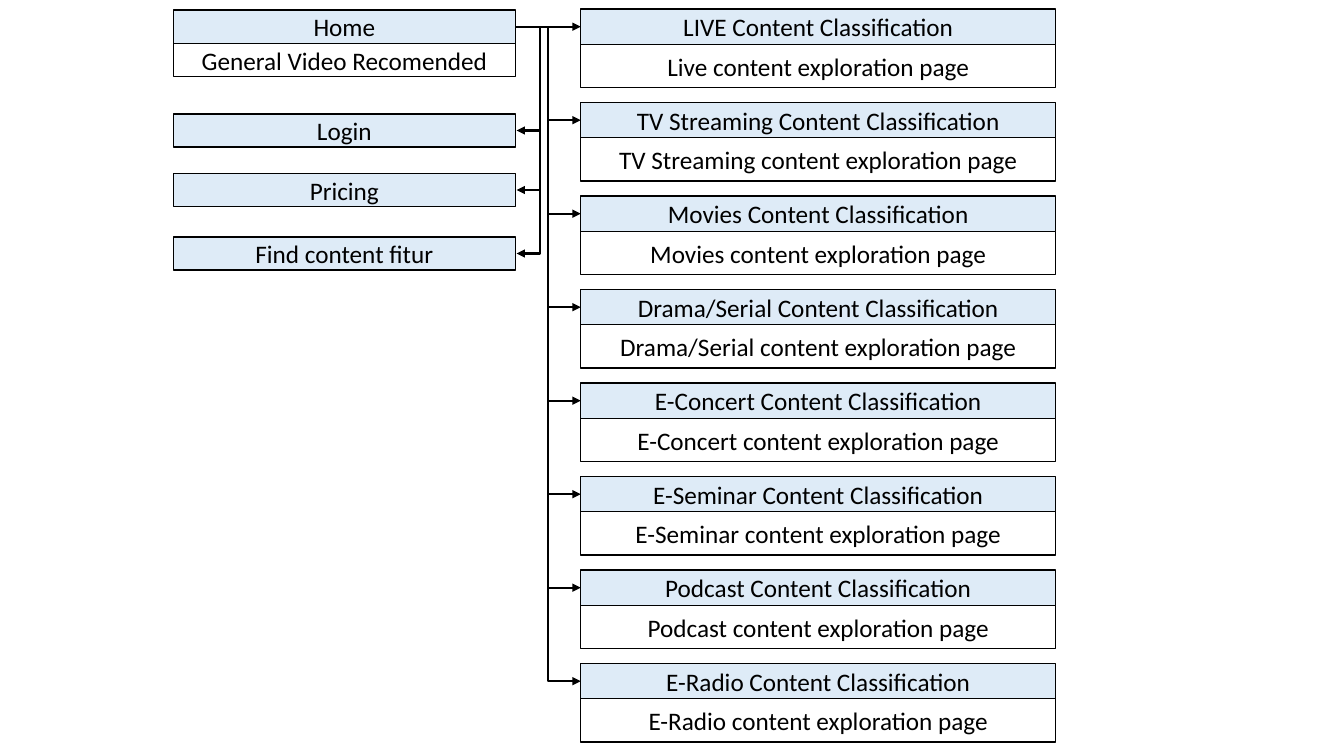
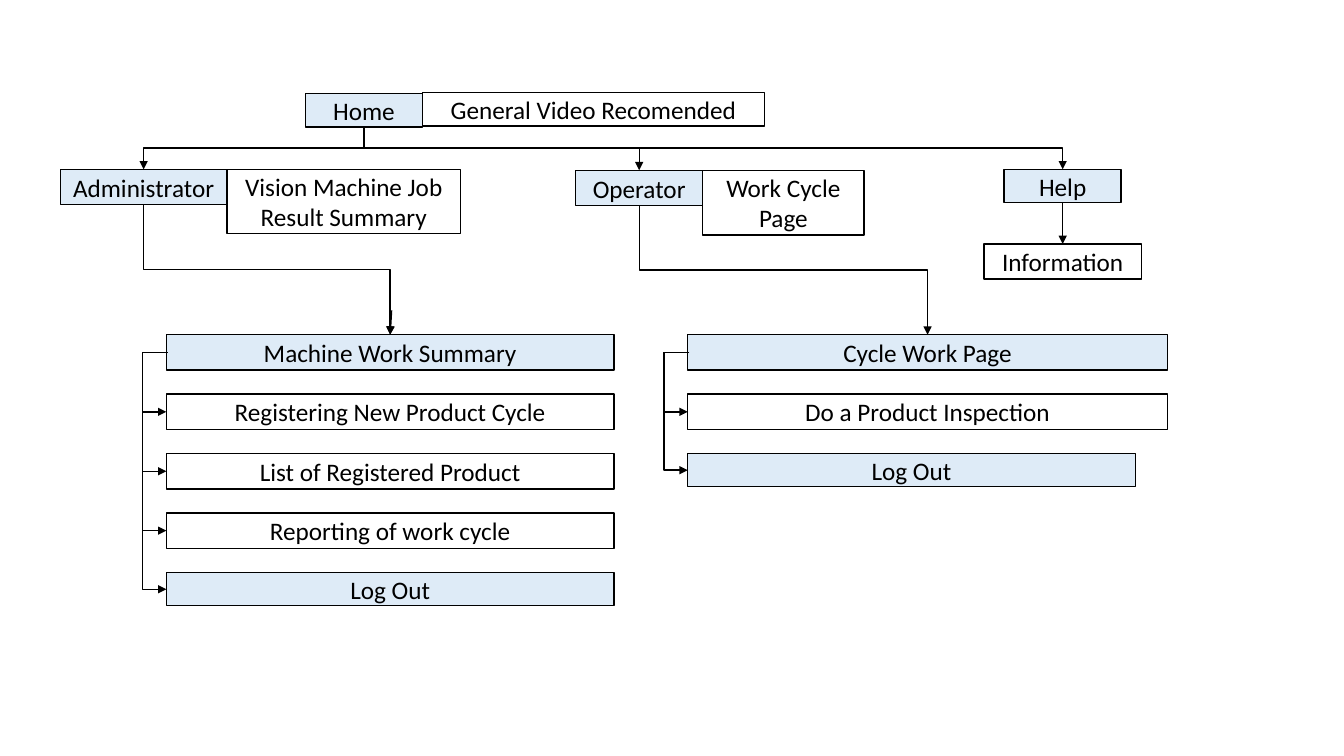
"""Build two site-map slides: a content sitemap and a machine-vision sitemap."""
from lxml import etree
from pptx import Presentation
from pptx import util as u
from pptx.dml.color import RGBColor
from pptx.enum import shapes, text
from pptx.oxml.ns import qn

FONT, SIZE = "Calibri", 18
INK, BLUE, WHITE = "000000", "DEEBF7", "FFFFFF"
TOP, LEFT, BOTTOM, RIGHT = range(4)

MENU_LEFT, MENU_WIDTH, MENU_HEIGHT = 1.72, 3.39, 0.33
MENU = [("Login", 1.13), ("Pricing", 1.72), ("Find content fitur", 2.35)]

CLASS_LEFT, CLASS_TOP, CLASS_WIDTH, CLASS_STEP = 5.76, 0.09, 4.71, 0.9275
HEAD_HEIGHT, DETAIL_HEIGHT = 0.35, 0.43
CLASSES = [
    ("LIVE", "Live"),
    ("TV Streaming", "TV Streaming"),
    ("Movies", "Movies"),
    ("Drama/Serial", "Drama/Serial"),
    ("E-Concert", "E-Concert"),
    ("E-Seminar", "E-Seminar"),
    ("Podcast", "Podcast"),
    ("E-Radio", "E-Radio"),
]

ROLES = [
    ("Home", 3.03, 0.93, 1.16, 0.33, BLUE),
    ("General Video Recomended", 4.19, 0.92, 3.39, 0.33, WHITE),
    ("Administrator", 0.6, 1.68, 1.65, 0.35, BLUE),
    ("Vision Machine Job Result Summary", 2.25, 1.68, 2.32, 0.64, WHITE),
    ("Operator", 5.71, 1.69, 1.26, 0.35, BLUE),
    ("Work Cycle Page", 6.97, 1.69, 1.6, 0.64, WHITE),
    ("Help", 9.96, 1.68, 1.16, 0.33, BLUE),
    ("Information", 9.76, 2.42, 1.56, 0.35, WHITE),
]
ROLE_LINKS = [("Home", "Administrator"), ("Home", "Help"),
              ("Home", "Operator"), ("Help", "Information")]

STACK_TOP, STACK_STEP = 3.32, 0.59
STACKS = [
    ("Administrator", 1.65, 4.44,
     ["Machine Work Summary", "Registering New Product Cycle",
      "List of Registered Product", "Reporting of work cycle", "Log Out"]),
    ("Operator", 6.82, 4.76,
     ["Cycle Work Page", "Do a Product Inspection", "Log Out"]),
]
LOG_OUT_WIDTH, LOG_OUT_HEIGHT = 4.44, 0.33
STUB_LENGTH = 0.24


def color(value):
    return RGBColor.from_string(value)


def add_box(page, label, left, top, width, height, fill):
    box = page.shapes.add_shape(
        shapes.MSO_SHAPE.RECTANGLE,
        *(u.Inches(n) for n in (left, top, width, height)))
    box.shadow.inherit = False
    box.fill.solid()
    box.fill.fore_color.rgb = color(fill)
    box.line.color.rgb = color(INK)
    box.line.width = u.Pt(1)
    frame = box.text_frame
    frame.word_wrap = True
    frame.vertical_anchor = text.MSO_ANCHOR.MIDDLE
    para = frame.paragraphs[0]
    para.text = label
    para.alignment = text.PP_ALIGN.CENTER
    font = para.runs[0].font
    font.name, font.size = FONT, u.Pt(SIZE)
    font.color.rgb = color(INK)
    return box


def style_arrow(arrow, weight):
    arrow.line.color.rgb = color(INK)
    arrow.line.width = u.Pt(weight)
    outline = arrow.line._get_or_add_ln()
    etree.SubElement(outline, qn("a:tailEnd"), type="triangle")
    etree.SubElement(arrow.element.spPr, qn("a:effectLst"))


def shape_elbow(arrow, begin_side, end_side):
    """Set the frame, turn and bend of an elbow that always runs downwards."""
    x, y = arrow.begin_x, arrow.begin_y
    across, down = arrow.end_x - x, arrow.end_y - y
    left, top, width, height = x, y, across, down
    turn, flips, bend = 0, [], 50000
    if begin_side == BOTTOM:
        width, height = down, abs(across)
        left = x + (across - width) // 2
        top = y + (down - height) // 2
        turn, flips = (270, ["flipH"]) if across > 0 else (90, [])
    elif begin_side == end_side:
        width, bend = u.Pt(1), 1800000
        if begin_side == LEFT:
            turn, flips = 180, ["flipV"]
    arrow.left, arrow.top, arrow.width, arrow.height = left, top, width, height
    frame = arrow.element.spPr.find(qn("a:xfrm"))
    for name in ("flipH", "flipV"):
        frame.attrib.pop(name, None)
    for name in flips:
        frame.set(name, "1")
    if turn:
        frame.set("rot", str(turn * 60000))
    geometry = arrow.element.spPr.find(qn("a:prstGeom"))
    guides = geometry.find(qn("a:avLst"))
    if guides is None:
        guides = etree.SubElement(geometry, qn("a:avLst"))
    etree.SubElement(guides, qn("a:gd"), name="adj1", fmla=f"val {bend}")


def side_point(box, side):
    middle = box.left + box.width // 2, box.top + box.height // 2
    return {
        TOP: (middle[0], box.top),
        LEFT: (box.left, middle[1]),
        BOTTOM: (middle[0], box.top + box.height),
        RIGHT: (box.left + box.width, middle[1]),
    }[side]


def link(page, begin, begin_side, end, end_side, weight):
    start, finish = side_point(begin, begin_side), side_point(end, end_side)
    aligned = 0 if begin_side == BOTTOM else 1
    straight = abs(start[aligned] - finish[aligned]) < u.Pt(1)
    kind = shapes.MSO_CONNECTOR.STRAIGHT if straight else shapes.MSO_CONNECTOR.ELBOW
    arrow = page.shapes.add_connector(kind, *start, *finish)
    arrow.begin_connect(begin, begin_side)
    arrow.end_connect(end, end_side)
    if not straight:
        shape_elbow(arrow, begin_side, end_side)
    style_arrow(arrow, weight)


def build_content_map(page):
    home = add_box(page, "Home", MENU_LEFT, 0.1, MENU_WIDTH, MENU_HEIGHT, BLUE)
    add_box(page, "General Video Recomended", MENU_LEFT, 0.1 + MENU_HEIGHT,
            MENU_WIDTH, MENU_HEIGHT, WHITE)
    for row, (heading, detail) in enumerate(CLASSES):
        top = CLASS_TOP + row * CLASS_STEP
        head = add_box(page, f"{heading} Content Classification",
                       CLASS_LEFT, top, CLASS_WIDTH, HEAD_HEIGHT, BLUE)
        add_box(page, f"{detail} content exploration page", CLASS_LEFT,
                top + HEAD_HEIGHT, CLASS_WIDTH, DETAIL_HEIGHT, WHITE)
        link(page, home, RIGHT, head, LEFT, 1.5)
    for label, top in MENU:
        item = add_box(page, label, MENU_LEFT, top, MENU_WIDTH, MENU_HEIGHT, BLUE)
        link(page, home, RIGHT, item, RIGHT, 1.5)


def build_machine_map(page):
    roles = {role[0]: add_box(page, *role) for role in ROLES}
    for begin, end in ROLE_LINKS:
        link(page, roles[begin], BOTTOM, roles[end], TOP, 1)
    heads = {}
    for role, left, stack_width, labels in STACKS:
        for row, label in enumerate(labels):
            last = label == "Log Out"
            width = LOG_OUT_WIDTH if last else stack_width
            height = LOG_OUT_HEIGHT if last else HEAD_HEIGHT
            box = add_box(page, label, left, STACK_TOP + row * STACK_STEP,
                          width, height, BLUE if row == 0 or last else WHITE)
            if row == 0:
                heads[role] = box
                link(page, roles[role], BOTTOM, box, TOP, 1)
            else:
                link(page, heads[role], LEFT, box, LEFT, 1)
    summary = heads["Administrator"]
    x, y = side_point(summary, TOP)
    stub = page.shapes.add_connector(
        shapes.MSO_CONNECTOR.STRAIGHT, x + u.Pt(1), y - u.Inches(STUB_LENGTH), x, y)
    stub.end_connect(summary, TOP)
    style_arrow(stub, 1)


def main():
    deck = Presentation()
    deck.slide_width, deck.slide_height = u.Inches(13.33), u.Inches(7.5)
    for build in (build_content_map, build_machine_map):
        build(deck.slides.add_slide(deck.slide_layouts[6]))
    deck.save("out.pptx")


if __name__ == "__main__":
    main()
